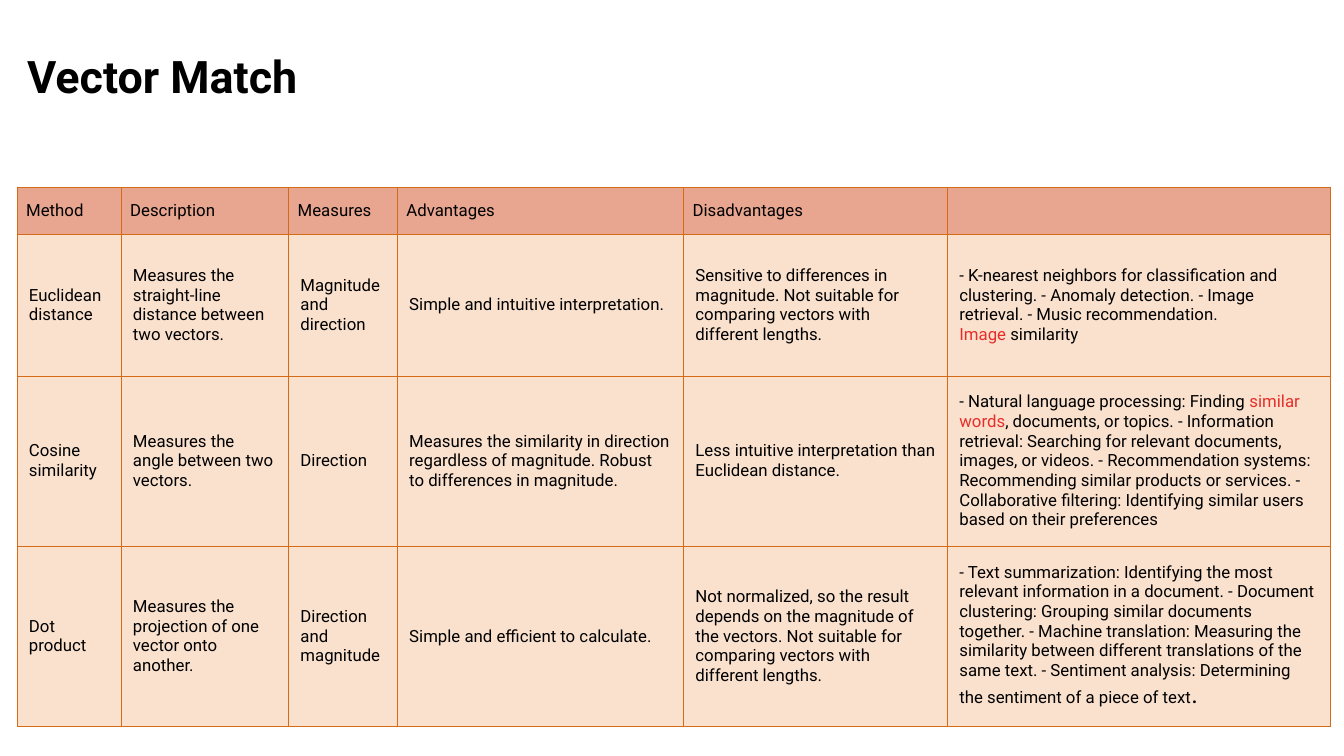
import pptx
import pptx.util
import pptx.dml.color
import pptx.enum.text
import pptx.oxml.ns
import lxml.etree

Cm = pptx.util.Cm
Pt = pptx.util.Pt
RGBColor = pptx.dml.color.RGBColor
MIDDLE = pptx.enum.text.MSO_ANCHOR.MIDDLE
qn = pptx.oxml.ns.qn

BLACK = RGBColor(0x00, 0x00, 0x00)
RED = RGBColor(0xE7, 0x2D, 0x29)
HEADER_FILL = RGBColor(0xE8, 0xA6, 0x90)
BODY_FILL = RGBColor(0xFA, 0xE1, 0xCE)
BORDER = RGBColor(0xD5, 0x6A, 0x17)
FONT = "Roboto"

COLUMN_WIDTHS = [2.62, 4.22, 2.74, 7.21, 6.65, 9.65]
ROW_HEIGHTS = [1.19, 3.56, 4.29, 4.55]
HIGHLIGHTS = ["Image", "similar words"]
ROWS = [
    ["Method", "Description", "Measures", "Advantages", "Disadvantages", ""],
    [
        "Euclidean distance",
        "Measures the straight-line distance between two vectors.",
        "Magnitude and direction",
        "Simple and intuitive interpretation.",
        "Sensitive to differences in magnitude. Not suitable for comparing "
        "vectors with different lengths.",
        "- K-nearest neighbors for classification and clustering. - Anomaly "
        "detection. - Image retrieval. - Music recommendation.\n"
        "Image| similarity",
    ],
    [
        "Cosine similarity",
        "Measures the angle between two vectors.",
        "Direction",
        "Measures the similarity in direction regardless of magnitude. "
        "Robust to differences in magnitude.",
        "Less intuitive interpretation than Euclidean distance.",
        "- Natural language processing: Finding |similar words|, documents, "
        "or topics. - Information retrieval: Searching for relevant documents, "
        "images, or videos. - Recommendation systems: Recommending similar "
        "products or services. - Collaborative filtering: Identifying similar "
        "users based on their preferences",
    ],
    [
        "Dot product",
        "Measures the projection of one vector onto another.",
        "Direction and magnitude",
        "Simple and efficient to calculate.",
        "Not normalized, so the result depends on the magnitude of the vectors. "
        "Not suitable for comparing vectors with different lengths.",
        "- Text summarization: Identifying the most relevant information in a "
        "document. - Document clustering: Grouping similar documents together. "
        "- Machine translation: Measuring the similarity between different "
        "translations of the same text. - Sentiment analysis: Determining the "
        "sentiment of a piece of text|.",
    ],
]


def format_span(span, size, color, bold=False):
    span.font.name = FONT
    span.font.size = Pt(size)
    span.font.bold = bold
    span.font.color.rgb = color


def add_borders(cell):
    properties = cell._tc.get_or_add_tcPr()
    for side in ("a:lnL", "a:lnR", "a:lnT", "a:lnB"):
        line = lxml.etree.SubElement(properties, qn(side), w=str(Pt(0.5)))
        fill = lxml.etree.SubElement(line, qn("a:solidFill"))
        lxml.etree.SubElement(fill, qn("a:srgbClr"), val=str(BORDER))


deck = pptx.Presentation()
deck.slide_width = Cm(33.86)
deck.slide_height = Cm(19.05)
page = deck.slides.add_slide(deck.slide_layouts[5])

title = page.shapes.title
title.left, title.top, title.width, title.height = Cm(0.43), Cm(0.1), Cm(24.69), Cm(2.64)
title.text_frame.text = "Vector Match"
title.text_frame.word_wrap = True
title.text_frame.vertical_anchor = pptx.enum.text.MSO_ANCHOR.BOTTOM
title_para = title.text_frame.paragraphs[0]
title_para.alignment = pptx.enum.text.PP_ALIGN.LEFT
title_para.line_spacing = 0.9
format_span(title_para.runs[0], 32, BLACK, True)

table = page.shapes.add_table(
    len(ROWS), len(COLUMN_WIDTHS), Cm(0.43), Cm(4.72),
    Cm(sum(COLUMN_WIDTHS)), Cm(sum(ROW_HEIGHTS)),
).table
table.first_row = False
table.horz_banding = False
for column, width in zip(table.columns, COLUMN_WIDTHS):
    column.width = Cm(width)
for row, height in zip(table.rows, ROW_HEIGHTS):
    row.height = Cm(height)

for row_index, texts in enumerate(ROWS):
    is_header = row_index == 0
    for column_index, text in enumerate(texts):
        cell = table.cell(row_index, column_index)
        cell.vertical_anchor = MIDDLE
        cell.margin_left = cell.margin_right = Cm(0.23 if is_header else 0.3)
        cell.margin_top = cell.margin_bottom = Cm(0.12 if is_header else 0.3)
        add_borders(cell)
        cell.fill.solid()
        cell.fill.fore_color.rgb = HEADER_FILL if is_header else BODY_FILL
        cell.text_frame.text = text
        for para in cell.text_frame.paragraphs:
            first, *others = para.text.split("|")
            para.text = first
            for piece in others:
                para.add_run().text = piece
            for span in para.runs:
                size = 18 if span.text == "." else 12
                format_span(span, size, RED if span.text in HIGHLIGHTS else BLACK)

deck.save("out.pptx")
